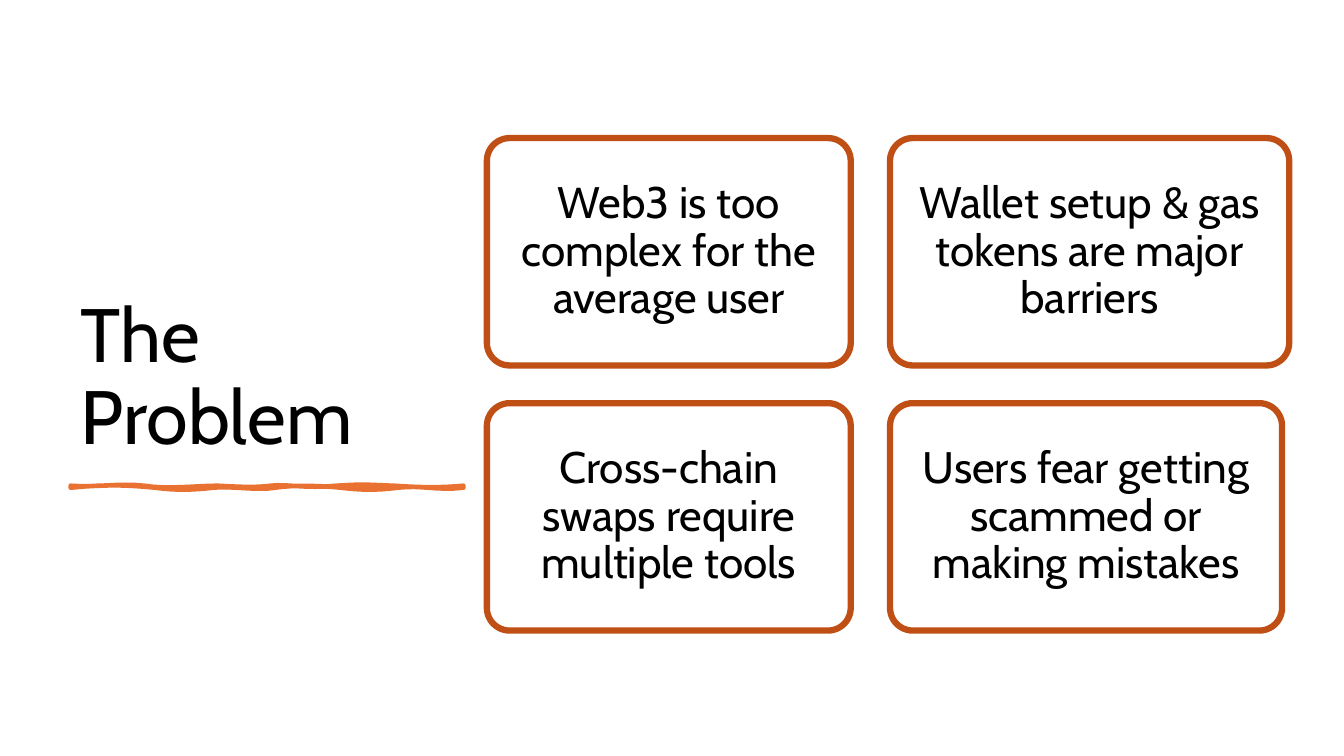
from dataclasses import dataclass

from lxml import etree
from pptx import Presentation
from pptx.dml.color import RGBColor
from pptx.enum.shapes import MSO_SHAPE
from pptx.enum.text import MSO_ANCHOR, PP_ALIGN
from pptx.oxml.ns import qn
from pptx.util import Cm, Pt

ROUNDED = MSO_SHAPE.ROUNDED_RECTANGLE
MIDDLE, BOTTOM = MSO_ANCHOR.MIDDLE, MSO_ANCHOR.BOTTOM
LEFT, CENTER = PP_ALIGN.LEFT, PP_ALIGN.CENTER


@dataclass(frozen=True)
class Theme:
    font: str = "Cabin"
    ink: RGBColor = RGBColor(0x00, 0x00, 0x00)
    paper: RGBColor = RGBColor(0xFF, 0xFF, 0xFF)
    brush: RGBColor = RGBColor(0xE9, 0x71, 0x32)
    border: RGBColor = RGBColor(0xC0, 0x4F, 0x15)
    title_size: float = 54
    card_size: float = 31.5
    brush_width: float = 3.25
    border_width: float = 4.5
    card_opacity: int = 90


THEME = Theme()

COLUMN_LEFTS = (12.27, 22.43)
ROW_TOPS = (3.48, 10.16)
CARD_HEIGHT = 5.73
CARD_ROWS = (
    (("Web3 is too complex for the average user", 9.17),
     ("Wallet setup & gas tokens are major barriers", 10.06)),
    (("Cross-chain swaps require multiple tools", 9.17),
     ("Users fear getting scammed or making mistakes", 9.88)),
)

BRUSH_TOP = (
    (1.78, 12.24), (2.39, 12.29), (3.02, 12.17), (3.63, 12.24),
    (4.24, 12.34), (4.93, 12.24), (5.49, 12.24),
    (6.02, 12.27), (6.45, 12.29), (6.83, 12.24),
    (7.21, 12.19), (7.7, 12.32), (8.48, 12.24),
    (9.27, 12.19), (9.22, 12.22), (9.93, 12.24),
    (10.64, 12.29), (11.15, 12.29), (11.68, 12.24),
)
BRUSH_BOTTOM = (
    (11.68, 12.29), (11.0, 12.37), (10.64, 12.22), (10.03, 12.29),
    (9.42, 12.37), (8.99, 12.34), (8.59, 12.29),
    (8.15, 12.24), (7.37, 12.22), (6.93, 12.29),
    (6.5, 12.37), (5.79, 12.24), (5.38, 12.29),
    (4.95, 12.34), (4.47, 12.37), (3.91, 12.29),
    (3.38, 12.24), (2.77, 12.19), (1.78, 12.29),
)


def write_text(box, text, *, size, align, anchor, inset):
    frame = box.text_frame
    frame.word_wrap = True
    frame.vertical_anchor = anchor
    frame.margin_left = frame.margin_right = Cm(inset)
    para = frame.paragraphs[0]
    para.alignment = align
    para.line_spacing = 0.9
    span = para.add_run()
    span.text = text
    span.font.name = THEME.font
    span.font.size = Pt(size)
    span.font.color.rgb = THEME.ink


def paint(shape, fill, line, width):
    shape.shadow.inherit = False
    shape.fill.solid()
    shape.fill.fore_color.rgb = fill
    shape.line.color.rgb = line
    shape.line.width = Pt(width)


def set_opacity(shape, percent):
    color = shape._element.spPr.find(qn("a:solidFill"))[0]
    etree.SubElement(color, qn("a:alpha"), val=str(percent * 1000))


def curve_points(controls, steps=8):
    points = [controls[0]]
    for start in range(0, len(controls) - 1, 3):
        segment = controls[start:start + 4]
        for step in range(1, steps + 1):
            t = step / steps
            weights = ((1 - t) ** 3, 3 * t * (1 - t) ** 2, 3 * t * t * (1 - t), t ** 3)
            points.append(tuple(
                sum(weight * point[axis] for weight, point in zip(weights, segment))
                for axis in (0, 1)))
    return points


def add_title(page, text):
    box = page.shapes.add_textbox(Cm(1.78), Cm(1.78), Cm(9.91), Cm(9.96))
    write_text(box, text, size=THEME.title_size, align=LEFT, anchor=BOTTOM, inset=0.25)


def add_brush_stroke(page):
    outline = [(Cm(x), Cm(y)) for x, y in curve_points(BRUSH_TOP) + curve_points(BRUSH_BOTTOM)]
    builder = page.shapes.build_freeform(*outline[0])
    builder.add_line_segments(outline[1:], close=True)
    paint(builder.convert_to_shape(), THEME.brush, THEME.brush, THEME.brush_width)


def add_card(page, text, left, top, width):
    card = page.shapes.add_shape(ROUNDED, Cm(left), Cm(top), Cm(width), Cm(CARD_HEIGHT))
    card.adjustments[0] = 0.1
    paint(card, THEME.paper, THEME.border, THEME.border_width)
    set_opacity(card, THEME.card_opacity)
    write_text(card, text, size=THEME.card_size, align=CENTER, anchor=MIDDLE, inset=0.5)


def main():
    deck = Presentation()
    deck.slide_width, deck.slide_height = Cm(33.87), Cm(19.05)
    page = deck.slides.add_slide(deck.slide_layouts[6])
    add_title(page, "The Problem")
    add_brush_stroke(page)
    for top, cards in zip(ROW_TOPS, CARD_ROWS):
        for left, (text, width) in zip(COLUMN_LEFTS, cards):
            add_card(page, text, left, top, width)
    deck.save("out.pptx")


if __name__ == "__main__":
    main()
